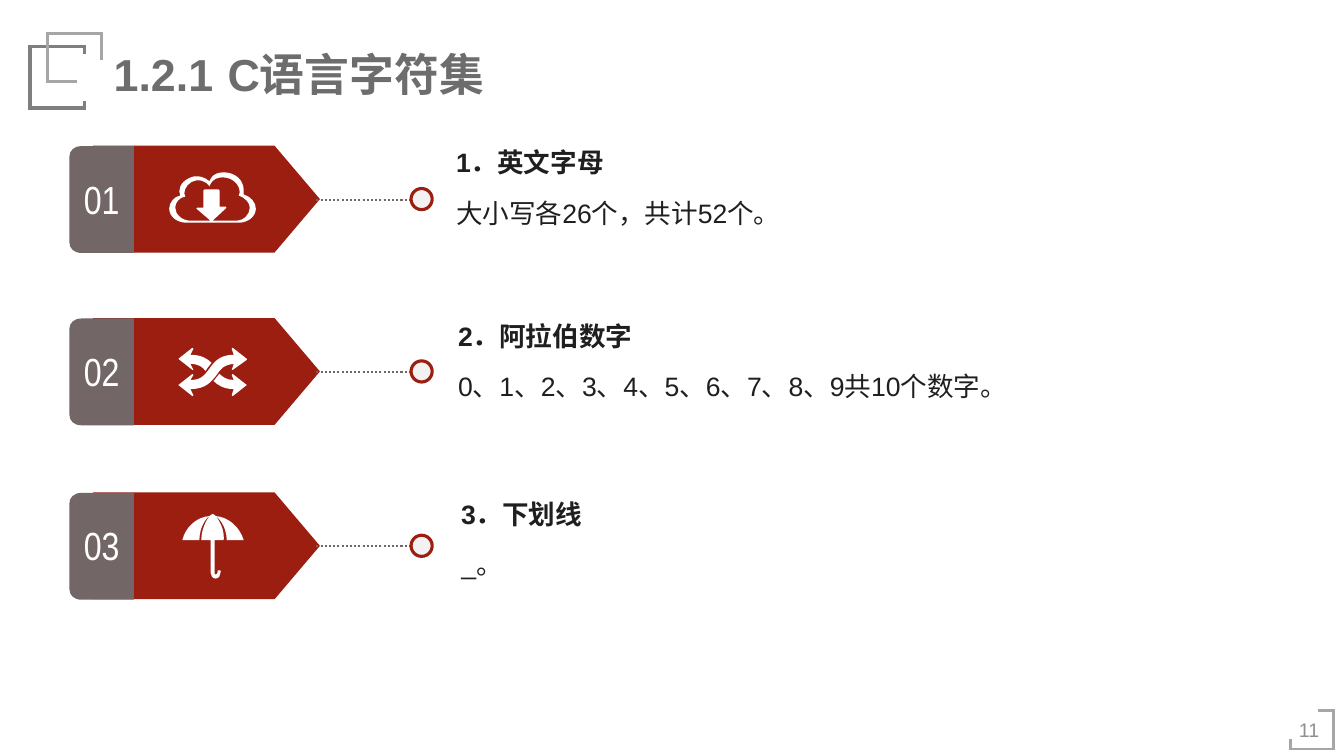
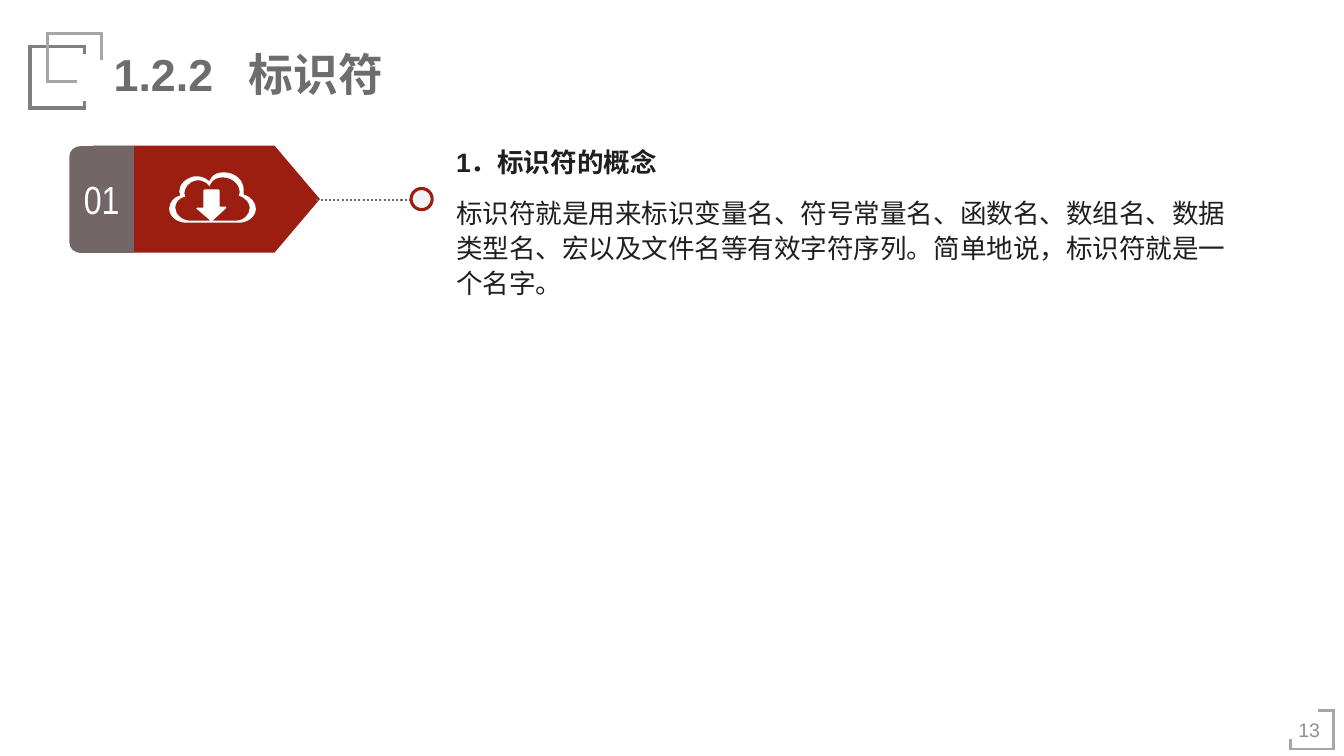
from lxml.etree import Element, SubElement
from pptx import Presentation
from pptx.dml.color import RGBColor
from pptx.enum.dml import MSO_LINE
from pptx.enum.shapes import MSO_CONNECTOR, MSO_SHAPE
from pptx.enum.text import MSO_ANCHOR, PP_ALIGN
from pptx.oxml.ns import qn
from pptx.util import Emu, Pt

SCALE = 9144
RED, TAUPE, WHITE, PALE = "9B1E11", "736666", "FFFFFF", "F2F2F2"
INK, TITLE_GREY, PAGE_GREY = "1F1F1F", "6D6D6D", "8F8F8F"
FRAME_DARK, FRAME_LIGHT = "7F7F7F", "A6A6A6"
ROW_TOPS, ROW_HEIGHT = (145, 316, 489), 106

FRAMES = [
    (FRAME_DARK, 2.5, [(84, 54), (84, 46), (30, 46), (30, 107), (84, 107), (84, 100)]),
    (FRAME_LIGHT, 2.5, [(101, 60), (101, 33), (47, 33), (47, 81), (76, 81)]),
    (FRAME_LIGHT, 2, [(1281, 733), (1281, 743), (1324, 743), (1324, 705), (1308, 705)]),
]

TAB = [[(64, 0), (12, 0), (4, 0, 0, 5, 0, 10), (0, 96),
        (0, 101, 4, 106, 12, 106), (64, 106)]]

CLOUD = [
    [(74, 22), (74, 21, 74, 19, 74, 18), (74, 8, 66, 0, 54, 0),
     (42, 0, 40, 9, 40, 9), (40, 9, 34, 3, 25, 4), (16, 6, 10, 12, 10, 19),
     (10, 20, 11, 21, 11, 23), (5, 24, 0, 30, 0, 36), (0, 44, 8, 50, 17, 50),
     (69, 50), (78, 50, 86, 44, 86, 36), (86, 30, 81, 24, 74, 22)],
    [(66, 48), (43, 48), (56, 36), (56, 36, 58, 34, 56, 34), (50, 34), (50, 18),
     (49, 17), (35, 17), (34, 18), (34, 35), (28, 35), (27, 36), (41, 48), (21, 48),
     (13, 48, 6, 42, 6, 35), (6, 30, 10, 25, 16, 24), (15, 23, 15, 22, 15, 21),
     (15, 15, 20, 9, 27, 8), (36, 7, 40, 14, 40, 14), (40, 14, 42, 5, 53, 5),
     (63, 5, 70, 12, 70, 20), (70, 21, 69, 23, 69, 23), (75, 25, 80, 30, 80, 35),
     (80, 42, 74, 48, 66, 48)],
]

SHUFFLE = [
    [(68, 37), (54, 48), (53, 47), (55, 41), (45, 41, 39, 37, 35, 33),
     (37, 31, 38, 29, 39, 28), (40, 27, 40, 26, 41, 26), (44, 29, 48, 32, 55, 32),
     (53, 27), (54, 26)],
    [(14, 22), (15, 22), (12, 16), (20, 16, 24, 19, 27, 23), (28, 22, 28, 21, 29, 20),
     (30, 19, 31, 17, 33, 15), (29, 11, 23, 7, 12, 7), (15, 1), (14, 0), (0, 11)],
    [(38, 27), (42, 21, 45, 17, 55, 16), (53, 22), (54, 22), (68, 12), (68, 11),
     (54, 0), (53, 1), (55, 7), (40, 7, 35, 15, 30, 22), (26, 27, 23, 32, 12, 32),
     (15, 27), (14, 26), (0, 37), (14, 48), (15, 47), (12, 41),
     (28, 41, 33, 33, 38, 27)],
]

UMBRELLA = [
    [(44, 26), (61, 26), (57, 13, 46, 3, 33, 2), (32, 1, 32, 0, 30, 0),
     (29, 0, 28, 1, 27, 2), (14, 3, 3, 13, 0, 26), (17, 26), (17, 11, 25, 3, 27, 2),
     (18, 14, 19, 26, 19, 26), (28, 26), (28, 58), (28, 61, 30, 64, 33, 64),
     (36, 64, 38, 61, 38, 58), (38, 56), (35, 56), (35, 58), (35, 59, 34, 60, 33, 60),
     (32, 60, 32, 59, 32, 58), (32, 26), (41, 26), (41, 26, 43, 14, 33, 2),
     (35, 3, 44, 11, 44, 26)],
]

ICONS = [(CLOUD, 168, 26), (SHUFFLE, 177, 29), (UMBRELLA, 181, 21)]

SLIDES = [
    ("1.2.1", "C语言字符集", 113, "11", [
        (443, 140, 796, "1．英文字母", "大小写各26个，共计52个。"),
        (445, 312, 676, "2．阿拉伯数字", "0、1、2、3、4、5、6、7、8、9共10个数字。"),
        (448, 489, 801, "3．下划线", "_。"),
    ]),
    ("1.2.2", "标识符", 134, "13", [
        (443, 140, 796, "1．标识符的概念",
         "标识符就是用来标识变量名、符号常量名、函数名、数组名、数据类型名、宏以及文件名等"
         "有效字符序列。简单地说，标识符就是一个名字。"),
    ]),
]


def px(n):
    return Emu(n * SCALE)


def rgb(color):
    return RGBColor.from_string(color)


def style(sp, fill=None, line=None, width=1):
    sp.shadow.inherit = False
    if fill:
        sp.fill.solid()
        sp.fill.fore_color.rgb = rgb(fill)
    else:
        sp.fill.background()
    if line:
        sp.line.color.rgb = rgb(line)
        sp.line.width = Pt(width)
    else:
        sp.line.fill.background()
    return sp


def add_run(p, text, size, color, bold=False, font="Arial"):
    r = p.add_run()
    r.text = text
    r.font.size = Pt(size)
    r.font.name = font
    r.font.bold = bold
    r.font.color.rgb = rgb(color)


def text_box(s, x, y, w, h):
    tf = s.shapes.add_textbox(px(x), px(y), px(w), px(h)).text_frame
    tf.word_wrap = True
    return tf


def bend(sp, contours, x, y):
    steps = [step for contour in contours for step in contour[1:]]
    for segment, step in zip(list(sp._element.iter(qn("a:lnTo"))), steps):
        if len(step) == 6:
            segment.tag = qn("a:cubicBezTo")
            for i in (0, 2):
                pt = Element(qn("a:pt"), x=str(px(x + step[i]) - sp.left),
                             y=str(px(y + step[i + 1]) - sp.top))
                segment.insert(i // 2, pt)


def outline(s, contours, x=0, y=0, close=True):
    builder = None
    for contour in contours:
        points = [(px(x + step[-2]), px(y + step[-1])) for step in contour]
        if builder is None:
            builder = s.shapes.build_freeform(*points[0], scale=1.0)
        else:
            builder.move_to(*points[0])
        builder.add_line_segments(points[1:], close=close)
    sp = builder.convert_to_shape()
    bend(sp, contours, x, y)
    return sp


def add_frames(s, page):
    for color, width, points in FRAMES:
        frame = style(outline(s, [points], close=False), line=color, width=width)
        SubElement(frame._element.spPr.find(qn("a:ln")), qn("a:miter"), lim="800000")
    tf = text_box(s, 1278, 697, 43, 54)
    tf.vertical_anchor = MSO_ANCHOR.MIDDLE
    tf.margin_left = tf.margin_right = px(5)
    p = tf.paragraphs[0]
    p.alignment = PP_ALIGN.CENTER
    add_run(p, page, 14, PAGE_GREY)


def add_title(s, number, title, tab):
    p = text_box(s, 103, 41, 399, 63).paragraphs[0]
    tabs = SubElement(p._p.get_or_add_pPr(), qn("a:tabLst"))
    SubElement(tabs, qn("a:tab"), pos=str(px(tab)), algn="l")
    for text in (number, "\t", title):
        add_run(p, text, 32, TITLE_GREY, True)


def add_dotted_line(s, x1, x2, y):
    line = s.shapes.add_connector(MSO_CONNECTOR.STRAIGHT, px(x1), px(y), px(x2), px(y))
    line.line.color.rgb = rgb(TAUPE)
    line.line.width = Pt(1.5)
    line.line.dash_style = MSO_LINE.ROUND_DOT
    SubElement(line._element.spPr, qn("a:effectLst"))


def add_badge(s, index):
    top = ROW_TOPS[index]
    middle = top + ROW_HEIGHT // 2
    arrow = s.shapes.add_shape(MSO_SHAPE.FLOWCHART_OFFPAGE_CONNECTOR,
                               px(152), px(middle - 113), px(ROW_HEIGHT), px(225))
    arrow.rotation = 270
    style(arrow, RED)

    tab = style(outline(s, TAB, 69, top), TAUPE)
    tf = tab.text_frame
    tf.margin_left = tf.margin_right = tf.margin_top = 0
    tf.margin_bottom = px(2)
    tf.vertical_anchor = MSO_ANCHOR.MIDDLE
    p = tf.paragraphs[0]
    p.alignment = PP_ALIGN.CENTER
    add_run(p, f"{index + 1:02}", 28, WHITE, font="Arial Narrow")

    add_dotted_line(s, 314, 408, middle)
    dot = s.shapes.add_shape(MSO_SHAPE.OVAL, px(408), px(middle - 11), px(21), px(21))
    style(dot, PALE, RED, 2.25)
    icon, x, dy = ICONS[index]
    style(outline(s, icon, x, top + dy), WHITE)


def add_point(s, x, y, width, heading, body):
    add_run(text_box(s, x, y, 307, 42).paragraphs[0], heading, 19, INK, True)
    p = text_box(s, x, y + 47, width, 45).paragraphs[0]
    p.line_spacing = 1.1
    add_run(p, body, 19, INK)


def main():
    prs = Presentation()
    prs.slide_width, prs.slide_height = px(1334), px(750)
    for number, title, tab, page, points in SLIDES:
        s = prs.slides.add_slide(prs.slide_layouts[6])
        add_frames(s, page)
        add_title(s, number, title, tab)
        for index, point in enumerate(points):
            add_badge(s, index)
            add_point(s, *point)
    prs.save("out.pptx")


if __name__ == "__main__":
    main()
